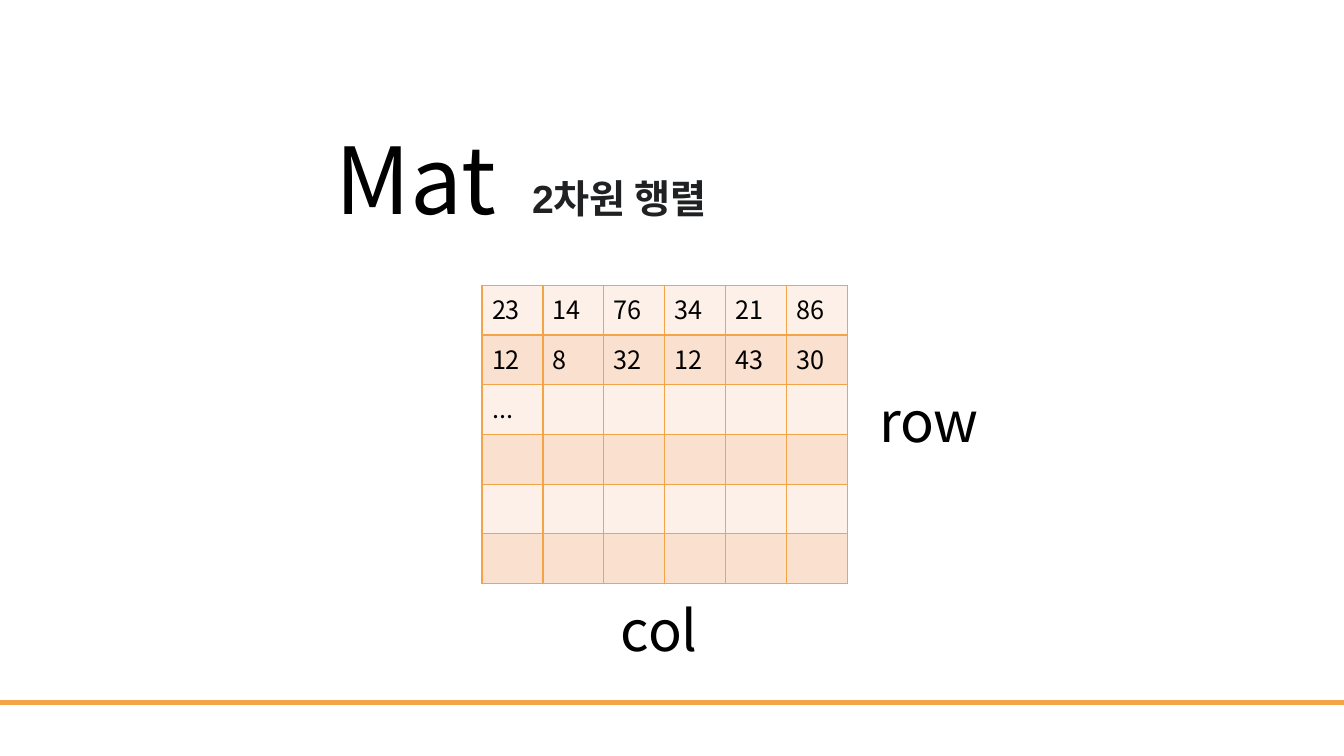
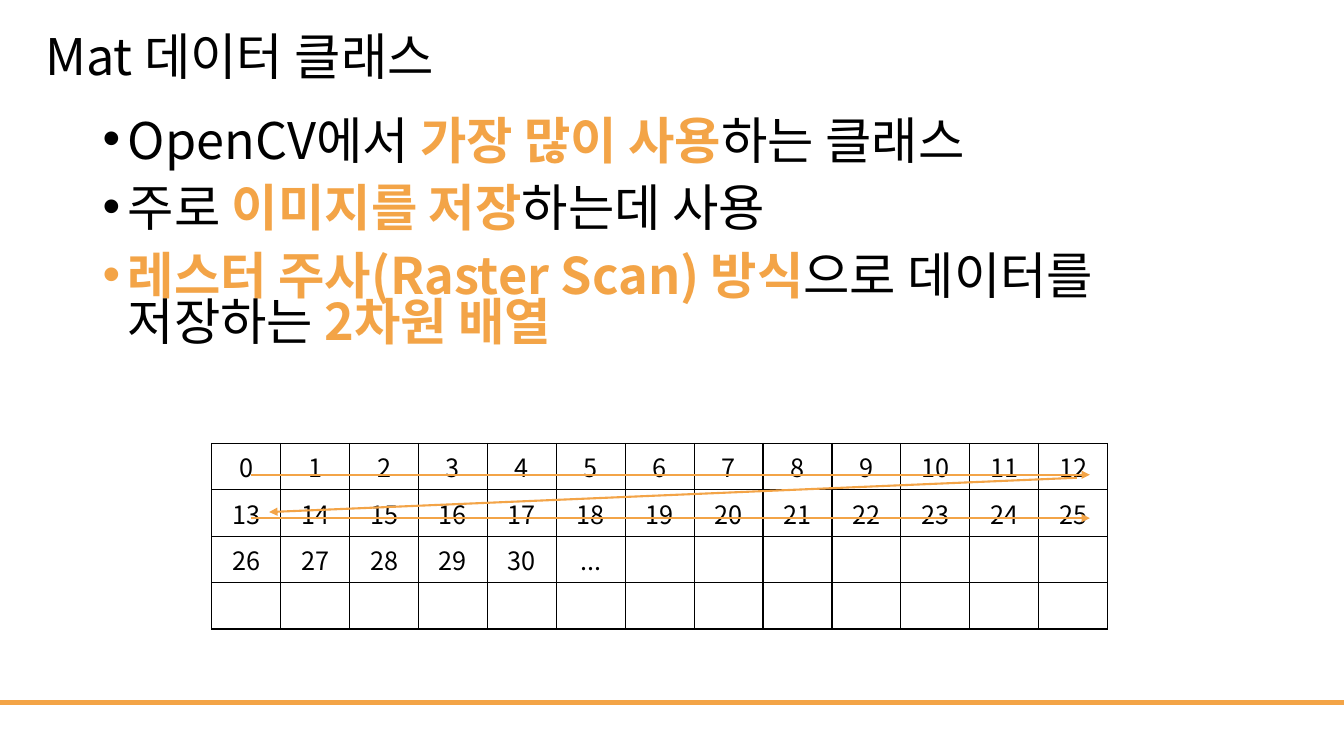
from dataclasses import dataclass
from itertools import product

from lxml.etree import SubElement
from pptx import Presentation
from pptx.dml.color import RGBColor
from pptx.enum.shapes import MSO_CONNECTOR
from pptx.enum.text import MSO_ANCHOR, MSO_AUTO_SIZE, PP_ALIGN
from pptx.oxml.ns import qn
from pptx.slide import Slide
from pptx.text.text import TextFrame
from pptx.util import Inches, Pt

COLORS = {
    "ink": "000000",
    "accent": "F3A447",
    "note": "202122",
    "light": "FDF0E9",
    "dark": "FAE0CF",
}
FONT = "Noto Sans CJK KR"
WIDTH, HEIGHT = 13.33, 7.5


@dataclass(frozen=True)
class Box:
    left: float
    top: float
    width: float
    height: float

    def lengths(self) -> list:
        return [Inches(v) for v in (self.left, self.top, self.width, self.height)]


@dataclass(frozen=True)
class Label:
    text: str
    box: Box
    size: int = 40
    font: str = FONT
    color: str = "ink"
    bold: bool = False
    anchor: MSO_ANCHOR = MSO_ANCHOR.MIDDLE
    spacing: float = 0.9


@dataclass(frozen=True)
class Span:
    text: str
    strong: bool = False


@dataclass(frozen=True)
class Line:
    start: tuple[float, float]
    end: tuple[float, float]
    weight: float = 1.5
    arrow: bool = True


@dataclass(frozen=True)
class Grid:
    box: Box
    rows: int
    cols: int
    values: list[list[str]]
    border: str
    fills: tuple[str, ...] = ()
    align: PP_ALIGN = PP_ALIGN.LEFT


RULE = Line((0, 6.97), (WIDTH, 6.97), 3, False)

MATRIX = Grid(
    Box(4.78, 2.83, 3.63, 2.96), 6, 6,
    [["23", "14", "76", "34", "21", "86"],
     ["12", "8", "32", "12", "43", "30"],
     ["..."]],
    "accent", ("light", "dark"),
)
RASTER = Grid(
    Box(2.1, 4.4, 8.89, 1.84), 4, 13,
    [[str(n) for n in range(13)],
     [str(n) for n in range(13, 26)],
     [str(n) for n in range(26, 31)] + ["..."]],
    "ink", align=PP_ALIGN.CENTER,
)
LABELS = [
    Label("col", Box(6.06, 5.82, 2.45, 0.93)),
    Label("2차원 행렬", Box(5.18, 1.68, 6.68, 0.57), 28, "Arial", "note", True,
          MSO_ANCHOR.TOP, 1.0),
    Label("row", Box(8.62, 3.75, 2.45, 0.93)),
]
POINTS = [
    [Span("OpenCV에서 "), Span("가장 많이 사용", True), Span("하는 클래스")],
    [Span("주로 "), Span("이미지를 저장", True), Span("하는데 사용")],
    [Span("레스터 주사(Raster Scan) 방식", True), Span("으로 데이터를 저장하는 "),
     Span("2차원 배열", True)],
]
ARROWS = [
    Line((2.49, 4.71), (10.81, 4.71)),
    Line((2.49, 5.14), (10.81, 5.14)),
    Line((10.68, 4.74), (2.67, 5.08)),
]


def shade(name: str) -> RGBColor:
    return RGBColor.from_string(COLORS[name])


def set_font(para, size: int, name: str = FONT, color: str = "ink",
             bold: bool = False) -> None:
    font = para.font
    font.size, font.name, font.bold = Pt(size), name, bold
    font.color.rgb = shade(color)
    props = para._p.pPr.find(qn("a:defRPr"))
    SubElement(props, qn("a:ea")).set("typeface", FONT)


def fill_text(frame: TextFrame, label: Label) -> None:
    frame.word_wrap = True
    frame.auto_size = MSO_AUTO_SIZE.NONE
    frame.vertical_anchor = label.anchor
    frame.text = label.text
    para = frame.paragraphs[0]
    para.alignment = PP_ALIGN.LEFT
    para.line_spacing = label.spacing
    set_font(para, label.size, label.font, label.color, label.bold)


def add_label(slide: Slide, label: Label) -> None:
    fill_text(slide.shapes.add_textbox(*label.box.lengths()).text_frame, label)


def add_line(slide: Slide, line: Line) -> None:
    ends = [Inches(v) for v in line.start + line.end]
    shape = slide.shapes.add_connector(MSO_CONNECTOR.STRAIGHT, *ends)
    shape.line.color.rgb = shade("accent")
    shape.line.width = Pt(line.weight)
    if line.arrow:
        SubElement(shape.line._get_or_add_ln(), qn("a:tailEnd")).set("type", "triangle")
    SubElement(shape._element.spPr, qn("a:effectLst"))


def add_border(cell, color: str) -> None:
    props = cell._tc.get_or_add_tcPr()
    for side in ("lnL", "lnR", "lnT", "lnB"):
        edge = SubElement(props, qn(f"a:{side}"))
        edge.set("w", str(Pt(1)))
        fill = SubElement(edge, qn("a:solidFill"))
        SubElement(fill, qn("a:srgbClr")).set("val", COLORS[color])


def add_grid(slide: Slide, grid: Grid) -> None:
    table = slide.shapes.add_table(grid.rows, grid.cols, *grid.box.lengths()).table
    table.first_row = table.horz_banding = False
    for col in table.columns:
        col.width = Inches(grid.box.width / grid.cols)
    for row in table.rows:
        row.height = Inches(grid.box.height / grid.rows)
    for r, c in product(range(grid.rows), range(grid.cols)):
        cell = table.cell(r, c)
        add_border(cell, grid.border)
        if grid.fills:
            cell.fill.solid()
            cell.fill.fore_color.rgb = shade(grid.fills[r % len(grid.fills)])
        else:
            cell.fill.background()
        if r < len(grid.values) and c < len(grid.values[r]):
            cell.text = grid.values[r][c]
        para = cell.text_frame.paragraphs[0]
        para.alignment = grid.align
        set_font(para, 18)


def add_points(slide: Slide, box: Box, points: list[list[Span]]) -> None:
    frame = slide.shapes.add_textbox(*box.lengths()).text_frame
    frame.word_wrap = True
    for i, spans in enumerate(points):
        para = frame.add_paragraph() if i else frame.paragraphs[0]
        para.line_spacing = 0.75
        para.space_before = Pt(10 if i else 0)
        para.space_after = Pt(6)
        props = para._p.get_or_add_pPr()
        props.set("marL", str(Inches(0.25)))
        props.set("indent", str(-Inches(0.25)))
        SubElement(props, qn("a:buFont")).set("typeface", "Arial")
        SubElement(props, qn("a:buChar")).set("char", "•")
        set_font(para, 36)
        for span in spans:
            run = para.add_run()
            run.text = span.text
            if span.strong:
                run.font.bold = True
                run.font.color.rgb = shade("accent")


def add_slide(deck, title: Label) -> Slide:
    slide = deck.slides.add_slide(deck.slide_layouts.get_by_name("Title Only"))
    add_line(slide, RULE)
    shape = slide.shapes.title
    shape.left, shape.top, shape.width, shape.height = title.box.lengths()
    fill_text(shape.text_frame, title)
    return slide


def main() -> None:
    deck = Presentation()
    deck.slide_width, deck.slide_height = Inches(WIDTH), Inches(HEIGHT)

    slide = add_slide(deck, Label("Mat", Box(3.23, 1.11, 3.55, 1.44), 66))
    for label in LABELS:
        add_label(slide, label)
    add_grid(slide, MATRIX)

    slide = add_slide(deck, Label("Mat 데이터 클래스", Box(0.35, 0.12, 9.59, 0.93), 36))
    add_points(slide, Box(0.92, 1.17, 11.5, 5.57), POINTS)
    add_grid(slide, RASTER)
    for arrow in ARROWS:
        add_line(slide, arrow)

    deck.save("out.pptx")


if __name__ == "__main__":
    main()
